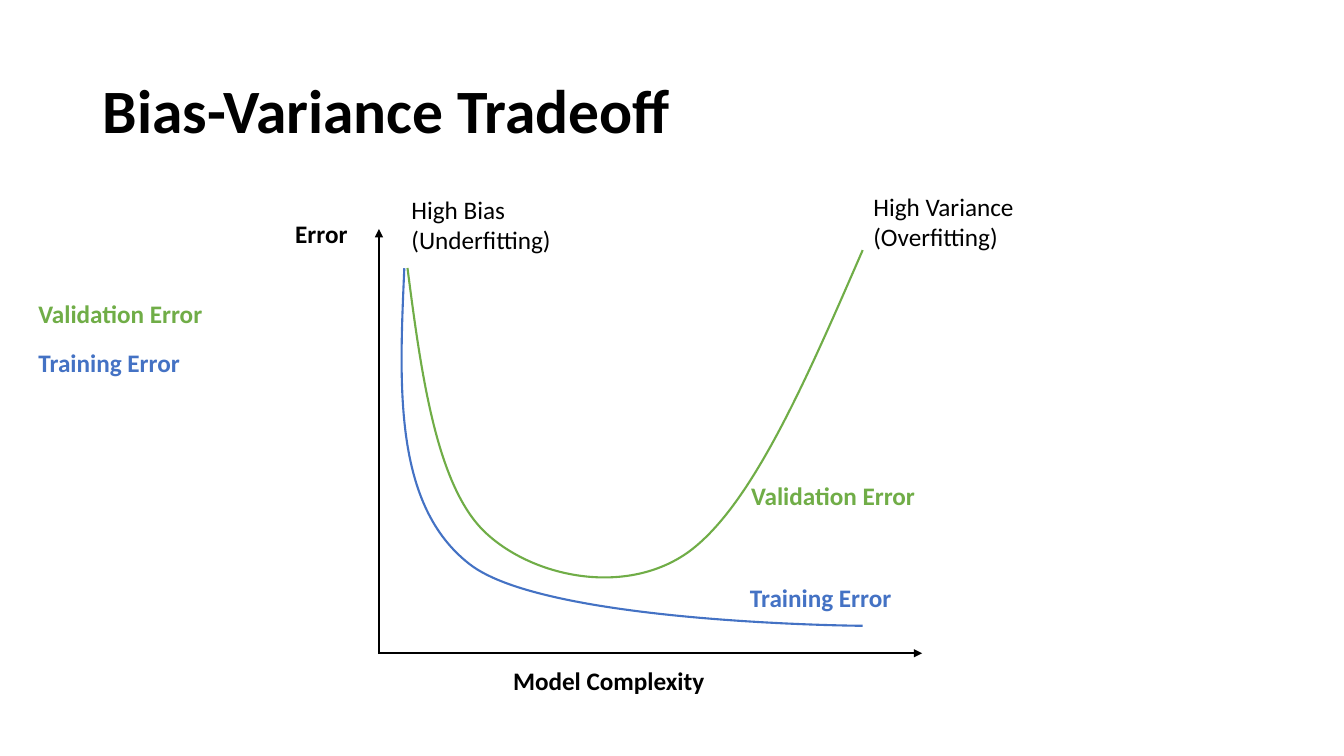
import dataclasses

import lxml.etree
import pptx
import pptx.dml.color
import pptx.enum.shapes
import pptx.enum.text
import pptx.oxml.ns
import pptx.util

Cm = pptx.util.Cm
Pt = pptx.util.Pt
qn = pptx.oxml.ns.qn


@dataclasses.dataclass(frozen=True)
class Theme:
    """Colours, font and sizes of the slide."""
    font: str = "Calibri"
    ink: str = "000000"
    training: str = "4472C4"
    validation: str = "70AD47"
    title_size: int = 44
    label_size: int = 18
    line_width: float = 1.5


class SlideBuilder:
    """Draws styled elements on one slide."""

    def __init__(self, slide, theme):
        self.s = slide
        self.theme = theme

    def text(self, text, x, y, w, h, size, color, bold=True):
        sp = self.s.shapes.add_textbox(Cm(x), Cm(y), Cm(w), Cm(h))
        tf = sp.text_frame
        tf.word_wrap = True
        tf.text = text
        font = tf.paragraphs[0].runs[0].font
        font.name = self.theme.font
        font.size = Pt(size)
        font.bold = bold
        font.color.rgb = pptx.dml.color.RGBColor.from_string(color)
        return tf

    def title(self, text):
        tf = self.text(text, 2.34, 1.01, 29.21, 3.68,
                       self.theme.title_size, self.theme.ink)
        tf.vertical_anchor = pptx.enum.text.MSO_ANCHOR.MIDDLE
        tf.paragraphs[0].line_spacing = 0.9

    def label(self, text, x, y, color):
        self.text(text, x, y, 7.65, 1.03, self.theme.label_size, color)

    def note(self, text, x, y):
        self.text(text, x, y, 5.69, 1.8, self.theme.label_size,
                  self.theme.ink, bold=False)

    def stroke(self, line, color):
        line.color.rgb = pptx.dml.color.RGBColor.from_string(color)
        line.width = Pt(self.theme.line_width)

    def arrow(self, start, end):
        sp = self.s.shapes.add_connector(
            pptx.enum.shapes.MSO_CONNECTOR.STRAIGHT,
            *(Cm(v) for v in (*start, *end)))
        self.stroke(sp.line, self.theme.ink)
        ln = sp.line._get_or_add_ln()
        lxml.etree.SubElement(ln, qn("a:tailEnd"), type="triangle")
        lxml.etree.SubElement(ln.getparent(), qn("a:effectLst"))

    def curve(self, x, y, w, h, points, color, rotation=0):
        """Draws chained Bézier pieces, with points measured from the box corner."""
        builder = self.s.shapes.build_freeform(Cm(x), Cm(y))
        builder.add_line_segments([(Cm(x + w), Cm(y + h))], close=False)
        sp = builder.convert_to_shape()
        outline = next(sp._element.iter(qn("a:path")))
        outline.remove(outline.find(qn("a:lnTo")))
        start = outline.find(qn("a:moveTo")).find(qn("a:pt"))
        start.set("x", str(Cm(points[0][0])))
        start.set("y", str(Cm(points[0][1])))
        for i in range(1, len(points), 3):
            piece = lxml.etree.SubElement(outline, qn("a:cubicBezTo"))
            for px, py in points[i:i + 3]:
                lxml.etree.SubElement(piece, qn("a:pt"),
                                      x=str(Cm(px)), y=str(Cm(py)))
        sp.rotation = rotation
        sp.shadow.inherit = False
        sp.fill.background()
        self.stroke(sp.line, color)


def main():
    prs = pptx.Presentation()
    prs.slide_width, prs.slide_height = Cm(33.87), Cm(19.05)
    theme = Theme()
    b = SlideBuilder(prs.slides.add_slide(prs.slide_layouts[6]), theme)

    b.title("Bias-Variance Tradeoff")
    b.arrow((9.53, 16.46), (23.24, 16.46))
    b.arrow((9.55, 16.48), (9.55, 5.77))

    b.curve(10.11, 6.76, 11.63, 9.04,
            [(0.08, 0), (-0.05, 2.97), (-0.2, 5.97), (1.73, 7.46),
             (3.66, 8.96), (11.63, 9.01), (11.63, 9.01)], theme.training)
    b.curve(10.44, 6.5, 11.48, 8.03,
            [(0, 0), (0.23, 2.71), (0.49, 5.44), (1.61, 6.68),
             (2.75, 7.92), (5.14, 8.54), (6.79, 7.44),
             (8.44, 6.32), (9.95, 3.18), (11.48, 0.05)],
            theme.validation, rotation=357.5)

    b.label("Model Complexity", 12.68, 16.65, theme.ink)
    b.label("Error", 7.19, 5.38, theme.ink)
    for x, y in ((18.65, 14.56), (0.72, 8.64)):
        b.label("Training Error", x, y, theme.training)
    for x, y in ((18.68, 11.99), (0.72, 7.39)):
        b.label("Validation Error", x, y, theme.validation)
    b.note("High Bias (Underfitting)", 10.12, 4.77)
    b.note("High Variance (Overfitting)", 21.76, 4.7)

    prs.save("out.pptx")


if __name__ == "__main__":
    main()
